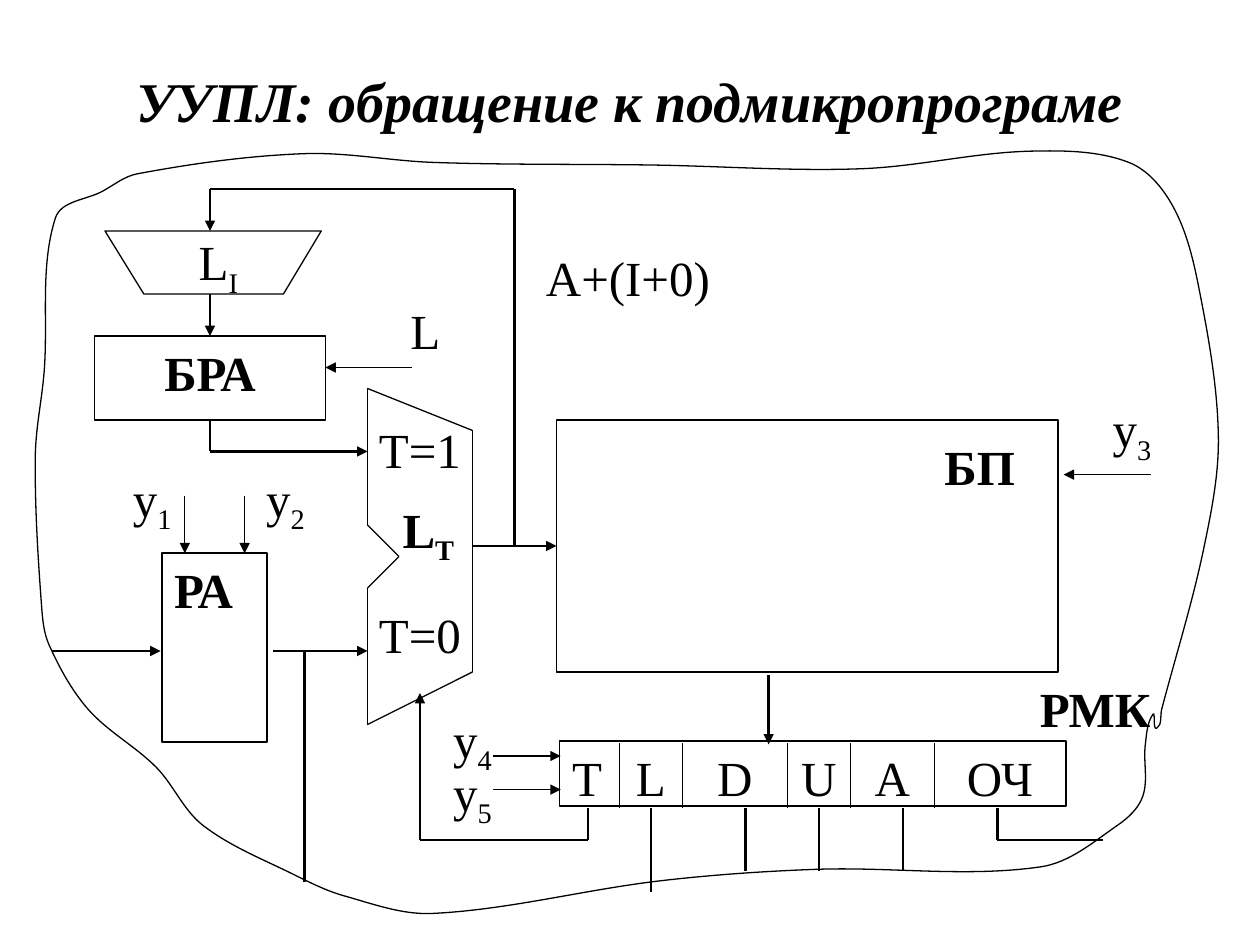
from dataclasses import dataclass
from itertools import pairwise
from math import dist
from typing import NamedTuple

from lxml.etree import SubElement
from pptx import Presentation
from pptx.dml.color import RGBColor
from pptx.enum.shapes import MSO_CONNECTOR, MSO_SHAPE
from pptx.enum.text import MSO_ANCHOR, PP_ALIGN
from pptx.oxml.ns import qn
from pptx.util import Emu, Inches, Pt

CELL = Inches(1) / 12  # the slide is a grid of 120 columns by 90 rows


@dataclass(frozen=True)
class Theme:
    ink: RGBColor = RGBColor(0, 0, 0)
    font: str = "Times New Roman"
    title: Pt = Pt(32)
    body: Pt = Pt(28)
    thin: Pt = Pt(0.75)
    frame: Pt = Pt(1)
    heavy: Pt = Pt(1.5)


class Label(NamedTuple):
    """Text centred on a column, hanging from a row."""
    centre: float
    row: float
    text: str
    sub: str = ""
    bold: bool = False
    cols: float = 12
    rows: float = 6.5


class Block(NamedTuple):
    col: float
    row: float
    cols: float
    rows: float
    text: str = ""
    bold: bool = True
    align: PP_ALIGN = PP_ALIGN.LEFT
    tabs: tuple = ()


class Wire(NamedTuple):
    x1: float
    y1: float
    x2: float
    y2: float
    width: Pt
    arrow: bool = False


THEME = Theme()
THIN, HEAVY = THEME.thin, THEME.heavy


def across(x: float, y: float, to: float, width: Pt, arrow: bool = False) -> Wire:
    return Wire(x, y, to, y, width, arrow)


def down(x: float, y: float, to: float, width: Pt, arrow: bool = False) -> Wire:
    return Wire(x, y, x, to, width, arrow)


FIELDS = (53.3, 59, 65, 75, 81, 89, 101.5)
# Centre of every field after the first, measured from the register's text inset
FIELD_TABS = tuple((a + b) / 2 - FIELDS[0] - 1.2 for a, b in pairwise(FIELDS[1:]))

BLOCKS = [
    Block(15.4, 52.7, 10, 18, "РА"),
    Block(FIELDS[0], 70.6, FIELDS[-1] - FIELDS[0], 6.2, "T\tL\tD\tU\tA\tОЧ", False,
          tabs=FIELD_TABS),
    Block(53, 40, 47.8, 24),
    Block(9, 32, 22, 8, "БРА", align=PP_ALIGN.CENTER),
]

LABELS = [
    Label(14.5, 44, "y", "1"),
    Label(27.2, 44, "y", "2"),
    Label(107.8, 37.4, "y", "3"),
    Label(45, 67, "y", "4"),
    Label(45, 72, "y", "5"),
    Label(104.3, 64, "РМК", bold=True, cols=19),
    Label(93.3, 41, "БП", bold=True, cols=19),
    Label(40.8, 47, "L", "T", True),
    Label(40.5, 28, "L"),
    Label(40, 39.4, "T=1"),
    Label(40, 57, "T=0"),
    Label(20.8, 21.5, "L", "I", cols=21.5),
    Label(59.8, 23, "A+(I+0)", cols=19.7),
]

MUX = [(35, 37), (45, 41), (45, 64), (35, 69), (35, 56), (38, 53), (35, 50), (35, 37)]
SELECTOR = [(10, 22), (30.6, 22), (27, 28), (13.7, 28)]
WIRES = [
    # register address input, multiplexer inputs and output
    across(5, 62, 15.3, HEAVY, True),
    across(26, 62, 35, HEAVY, True),
    down(29, 62, 84, HEAVY),
    across(45, 52, 53, HEAVY, True),
    # return path through the address buffer
    down(49, 18, 52, HEAVY),
    across(20, 18, 49, THIN),
    down(20, 18, 22, HEAVY, True),
    down(20, 28, 32, HEAVY, True),
    down(20, 40, 43, HEAVY),
    across(20, 43, 35, HEAVY, True),
    # memory output and the T and ОЧ field outputs
    down(73.2, 64.3, 70.9, HEAVY, True),
    across(40, 80, 56, THIN),
    down(40, 80, 66, HEAVY, True),
    across(95, 80, 105, THIN),
    *(down(x, 77, 80, HEAVY) for x in (56, 95)),
    # control signals
    across(39.2, 35, 31, THIN, True),
    across(109.6, 45.2, 101.3, THIN, True),
    *(down(x, 47.2, 52.7, THIN, True) for x in (17.6, 23.3)),
    *(across(47, y, 53.4, THIN, True) for y in (72, 75.2)),
    # field dividers and the L, D, U, A outputs
    *(down(x, 70.8, 77, THIN) for x in FIELDS[1:-1]),
    down(62, 77, 85, HEAVY),
    *(down(x, 77, 83, HEAVY) for x in (71, 78, 86)),
    *(Wire(*a, *b, THIN) for a, b in pairwise(MUX)),
]

# Points the wavy border passes through, in thousandths of the slide's width
CLOUD = [(915, 567), (909, 591), (907, 632), (887, 655), (826, 688), (647, 690),
         (525, 699), (343, 725), (273, 711), (235, 695), (161, 655), (124, 609),
         (70, 563), (39, 512), (33, 481), (28, 363), (35, 296), (44, 173),
         (81, 152), (109, 138), (241, 122), (345, 129), (516, 131), (683, 134),
         (818, 120), (896, 129), (931, 164), (952, 231), (967, 347), (955, 437),
         (922, 563), (918, 578)]


def place(*lengths: float) -> list[Emu]:
    return [Emu(round(v * CELL)) for v in lengths]


def add_run(p, text: str, sub: bool = False, **fmt) -> None:
    r = p.add_run()
    r.text = text
    for name, value in {"name": THEME.font, "size": THEME.body, **fmt}.items():
        setattr(r.font, name, value)
    r.font.color.rgb = THEME.ink
    if sub:
        r._r.get_or_add_rPr().set("baseline", "-25000")


def add_label(s, label: Label, anchor=MSO_ANCHOR.TOP, **fmt) -> None:
    left = label.centre - label.cols / 2
    tf = s.shapes.add_textbox(*place(left, label.row, label.cols, label.rows)).text_frame
    tf.word_wrap, tf.vertical_anchor = True, anchor
    p = tf.paragraphs[0]
    p.alignment = PP_ALIGN.CENTER
    add_run(p, label.text, bold=label.bold, **fmt)
    if label.sub:
        add_run(p, label.sub, sub=True, bold=label.bold)


def outline(sp, width: Pt) -> None:
    sp.shadow.inherit = False
    sp.fill.background()
    sp.line.color.rgb, sp.line.width = THEME.ink, width


def add_block(s, block: Block) -> None:
    sp = s.shapes.add_shape(MSO_SHAPE.RECTANGLE, *place(*block[:4]))
    outline(sp, THEME.frame)
    tf = sp.text_frame
    tf.word_wrap, tf.vertical_anchor = True, MSO_ANCHOR.TOP
    p = tf.paragraphs[0]
    p.alignment = block.align
    if block.tabs:
        stops = SubElement(p._p.get_or_add_pPr(), qn("a:tabLst"))
        for tab in block.tabs:
            SubElement(stops, qn("a:tab"), pos=str(round(tab * CELL)), algn="ctr")
    if block.text:
        add_run(p, block.text, bold=block.bold)


def add_wire(s, wire: Wire) -> None:
    sp = s.shapes.add_connector(MSO_CONNECTOR.STRAIGHT, *place(*wire[:4]))
    sp.line.color.rgb, sp.line.width = THEME.ink, wire.width
    if wire.arrow:
        SubElement(sp.line._get_or_add_ln(), qn("a:tailEnd"), type="triangle")
    SubElement(sp._element.spPr, qn("a:effectLst"))


def smooth(knots: list) -> list:
    """Return a start point, then two handles and an end for each Bezier curve."""
    def handle(i: int, toward: int) -> tuple:
        before, here, after = (knots[(i + k) % len(knots)] for k in (-1, 0, 1))
        reach = dist(here, knots[(i + toward) % len(knots)]) / 3 / dist(before, after)
        return tuple(h + toward * reach * (a - b) for b, h, a in zip(before, here, after))

    points = [knots[0]]
    for i in range(len(knots)):
        end = (i + 1) % len(knots)
        points += [handle(i, 1), handle(end, -1), knots[end]]
    return points


def add_outline(s, points: list, unit: float, curved: bool = False) -> None:
    """Draw a closed outline; when curved, each three points make one Bezier curve."""
    grain = 10  # freeform points are whole numbers
    points = [(x * grain, y * grain) for x, y in points]
    builder = s.shapes.build_freeform(*points[0], scale=unit / grain)
    builder.add_line_segments(points[1:], close=True)
    sp = builder.convert_to_shape()
    outline(sp, THIN)
    if curved:
        segments = list(sp._element.iter(qn("a:lnTo")))
        for trio in zip(*[iter(segments)] * 3):
            curve = trio[0].makeelement(qn("a:cubicBezTo"))
            trio[0].addprevious(curve)
            for segment in trio:
                curve.append(segment[0])
                segment.getparent().remove(segment)


prs = Presentation()
prs.slide_width, prs.slide_height = Inches(10), Inches(7.5)
s = prs.slides.add_slide(prs.slide_layouts[6])
title = Label(60, 5, "УУПЛ: обращение к подмикропрограме", bold=True, cols=102, rows=9)
add_label(s, title, MSO_ANCHOR.MIDDLE, size=THEME.title, italic=True)
for block in BLOCKS:
    add_block(s, block)
add_outline(s, smooth(CLOUD), prs.slide_width / 1000, curved=True)
add_outline(s, SELECTOR, CELL)
for wire in WIRES:
    add_wire(s, wire)
for label in LABELS:
    add_label(s, label)
prs.save("out.pptx")
